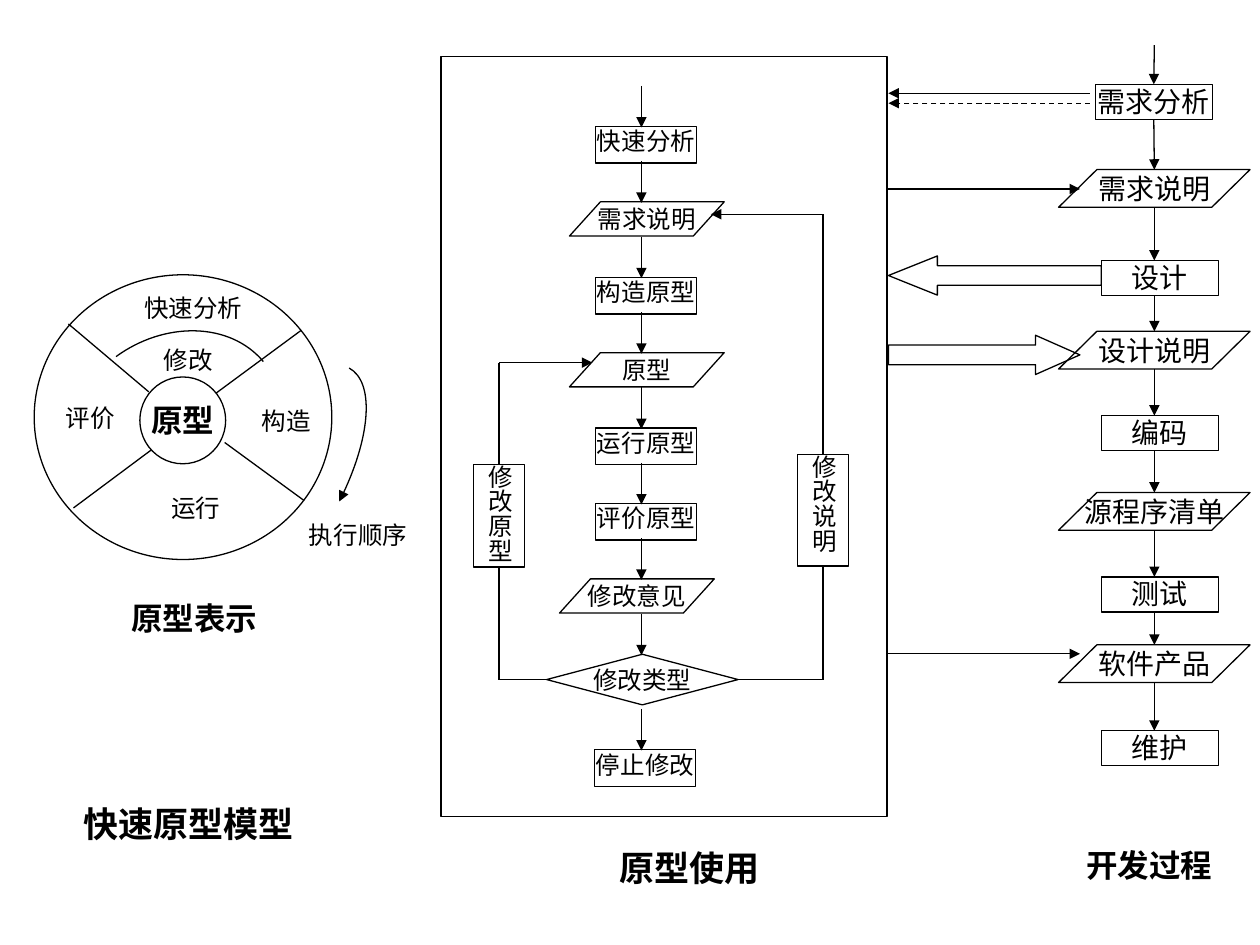
from dataclasses import dataclass

from lxml.etree import SubElement
from pptx import Presentation
from pptx.dml.color import RGBColor
from pptx.enum.dml import MSO_LINE
from pptx.enum.shapes import MSO_CONNECTOR, MSO_SHAPE as Kind
from pptx.enum.text import MSO_ANCHOR, PP_ALIGN
from pptx.oxml.ns import qn
from pptx.util import Cm, Pt


@dataclass(frozen=True)
class Theme:
    """Colours, type sizes and line width of the slide."""
    ink: RGBColor = RGBColor(0, 0, 0)
    font: str = "Arial"
    small: int = 14
    medium: int = 16
    large: int = 18
    title: int = 20
    stroke: float = 0.75


THEME = Theme()


class Region:
    """A box on the page, in centimetres, in which parts are placed."""

    def __init__(self, page, left, top, width, height):
        self.shapes = page.shapes
        self.left, self.top = left, top
        self.width, self.height = width, height

    def point(self, x, y):
        """Turn a position in the box into one on the page."""
        return Cm(self.left + x), Cm(self.top + y)

    def shape(self, kind, x, y, width, height):
        """Add an unfilled, outlined preset shape."""
        shape = self.shapes.add_shape(kind, *self.point(x, y), Cm(width), Cm(height))
        shape.shadow.inherit = False
        shape.fill.background()
        draw_outline(shape)
        return shape

    def node(self, kind, text, x, y, width, height, size=THEME.small, bold=False):
        """Add a flowchart shape with its text."""
        shape = self.shape(kind, x, y, width, height)
        is_box = kind == Kind.RECTANGLE
        write(shape, text, size, bold, wrap=is_box,
              anchor=MSO_ANCHOR.TOP if is_box else MSO_ANCHOR.MIDDLE)
        return shape

    def label(self, text, x, y, width, height=0.71, size=THEME.small, bold=False):
        """Add a centred text box."""
        box = self.shapes.add_textbox(*self.point(x, y), Cm(width), Cm(height))
        write(box, text, size, bold)

    def line(self, start, end, arrow=False, dashed=False):
        """Draw a line between two ends, each a position or a (shape, site) pair."""
        ends = [self.point(*p) if isinstance(p[0], (int, float)) else (0, 0)
                for p in (start, end)]
        line = self.shapes.add_connector(MSO_CONNECTOR.STRAIGHT, *ends[0], *ends[1])
        for place, join in ((start, line.begin_connect), (end, line.end_connect)):
            if not isinstance(place[0], (int, float)):
                join(*place)
        SubElement(draw_outline(line, arrow, dashed), qn("a:effectLst"))

    def curve(self, start, *controls_and_end, arrow=False):
        """Draw one cubic curve."""
        builder = self.shapes.build_freeform(*self.point(*start))
        builder.add_line_segments([self.point(*p) for p in controls_and_end], close=False)
        shape = builder.convert_to_shape()
        shape.shadow.inherit = False
        shape.fill.background()
        draw_outline(shape, arrow)
        segments = list(shape.element.iter(qn("a:lnTo")))
        outline = segments[0].getparent()
        bezier = SubElement(outline, qn("a:cubicBezTo"))
        for segment in segments:
            bezier.append(segment[0])
            outline.remove(segment)


def draw_outline(shape, arrow=False, dashed=False):
    """Style a line and return the shape's properties element."""
    shape.line.color.rgb = THEME.ink
    shape.line.width = Pt(THEME.stroke)
    if dashed:
        shape.line.dash_style = MSO_LINE.DASH
    properties = shape.element.spPr
    if arrow:
        SubElement(properties.find(qn("a:ln")), qn("a:tailEnd"), type="triangle")
    return properties


def write(shape, text, size, bold=False, wrap=True, anchor=MSO_ANCHOR.TOP):
    """Write one centred paragraph without margins."""
    frame = shape.text_frame
    frame.word_wrap = wrap
    frame.vertical_anchor = anchor
    frame.margin_left = frame.margin_right = frame.margin_top = frame.margin_bottom = 0
    para = frame.paragraphs[0]
    para.text = text
    para.alignment = PP_ALIGN.CENTER
    para.font.name = THEME.font
    para.font.size = Pt(size)
    para.font.bold = bold
    para.font.color.rgb = THEME.ink


def add_wheel(region):
    """Draw the prototype wheel with its captions."""
    for start, end in (((0.79, 4.7), (2.36, 3.53)), ((3.66, 2.39), (5.38, 1.12)),
                       ((3.84, 3.38), (5.44, 4.55)), ((0.69, 0.99), (2.31, 2.36))):
        region.line(start, end)
    region.node(Kind.OVAL, "原型", 2.13, 2.06, 1.73, 1.75, THEME.large, True)
    region.shape(Kind.OVAL, 0, 0, region.width, region.height)
    region.curve((1.65, 1.65), (2.62, 0.94), (3.94, 0.94), (4.62, 1.75))
    region.curve((6.35, 1.88), (6.86, 2.16), (6.78, 3.33), (6.15, 4.57), arrow=True)
    for text, x, y, width in (("修改", 2.54, 1.42, 1.14), ("快速分析", 1.96, 0.36, 2.49),
                              ("评价", 0.46, 2.59, 1.35), ("构造", 4.47, 2.64, 1.22),
                              ("运行", 2.69, 4.39, 1.14), ("执行顺序", 5.44, 4.95, 2.18)):
        region.label(text, x, y, width)
    region.label("原型表示", 1.93, 6.53, 2.59, 0.89, THEME.large, True)
    region.label("快速原型模型", 0.81, 10.64, 4.6, 0.84, THEME.title, True)


def add_prototype_use(region):
    """Draw the framed prototyping flow with its two feedback loops."""
    region.shape(Kind.RECTANGLE, 0, 0, region.width, region.height)
    box, data = (Kind.RECTANGLE, 2.03, 0.74), (Kind.FLOWCHART_DATA, 3.12, 0.69)
    choice = (Kind.FLOWCHART_DECISION, 3.86, 1.02)
    steps = (("快速分析", box, 3.12), ("需求说明", data, 2.59), ("构造原型", box, 3.12),
             ("原型", data, 2.59), ("运行原型", box, 3.12), ("评价原型", box, 3.12),
             ("修改意见", data, 2.39), ("修改类型", choice, 2.13), ("停止修改", box, 3.1))
    first, pitch, last, axis = 1.41, 1.52, 13.97, 4.04
    nodes = {}
    for index, (text, (kind, width, height), x) in enumerate(steps):
        y = last if index == len(steps) - 1 else first + pitch * index
        nodes[text] = region.node(kind, text, x, y, width, height)
        region.line((axis, y - 0.82), (axis, y + 0.02), arrow=True)

    decision_y = first + pitch * 7 + 0.51
    for text, x, y, height, side, target in (
            ("修改原型", 0.66, 8.23, 2.06, 1, (3.05, 6.17)),
            ("修改说明", 7.19, 8.03, 2.24, 3, (5.44, 3.18))):
        loop = region.node(Kind.RECTANGLE, text, x, y, 1.02, height)
        loop.text_frame.margin_left = loop.text_frame.margin_right = Cm(0.2)
        loop.text_frame._txBody.bodyPr.set("vert", "eaVert")
        middle = x + 0.51
        region.line((loop, 2), (middle, decision_y))
        region.line((middle, decision_y), (nodes["修改类型"], side))
        region.line((middle, target[1]), (loop, 0))
        region.line((middle, target[1]), target, arrow=True)
    region.label("原型使用", 3.2, 15.93, 3.61, 0.84, THEME.title, True)


def add_development(region):
    """Draw the development process column."""
    axis, bottom = region.width / 2, 0
    previous = None
    steps = (("需求分析", 0.79), ("需求说明", 2.51), ("设计", 4.34), ("设计说明", 5.77),
             ("编码", 7.47), ("源程序清单", 9.02), ("测试", 10.72), ("软件产品", 12.09),
             ("维护", 13.82))
    for index, (text, y) in enumerate(steps):
        if index % 2:
            kind, x, width, height = Kind.FLOWCHART_DATA, 0, region.width, 0.76
        else:
            kind, x, width, height = Kind.RECTANGLE, 0.86 if index else 0.74, 2.36, 0.71
        node = region.node(kind, text, x, y, width, height, THEME.medium)
        region.line((previous, 2) if index == 1 else (axis, bottom),
                    (axis, y) if index else (node, 0), arrow=True)
        previous, bottom = node, y + height
    region.label("开发过程", 0.43, 16.15, 2.79, 0.76, THEME.large, True)


def add_exchange(region):
    """Draw the arrows between the prototype frame and the process."""
    reach = 3.86
    region.line((region.width, 0), (0, 0), arrow=True)
    region.line((region.width, 0.2), (0, 0.2), arrow=True, dashed=True)
    for y in (1.93, region.height):
        region.line((0, y), (reach, y), arrow=True)
    for kind, y, width, head in ((Kind.LEFT_ARROW, 3.28, 4.29, 1.25),
                                 (Kind.RIGHT_ARROW, 4.88, reach, 1.13)):
        region.shape(kind, 0, y, width, 0.79).adjustments[1] = head


def main():
    """Build the slide and save the deck."""
    deck = Presentation()
    deck.slide_width, deck.slide_height = Cm(25.4), Cm(19.05)
    page = deck.slides.add_slide(deck.slide_layouts[6])
    add_prototype_use(Region(page, 8.89, 1.14, 8.99, 15.32))
    add_development(Region(page, 21.34, 0.91, 3.86, 14.53))
    add_exchange(Region(page, 17.91, 1.88, 4.06, 11.3))
    add_wheel(Region(page, 0.69, 5.54, 6, 5.74))
    deck.save("out.pptx")


if __name__ == "__main__":
    main()
